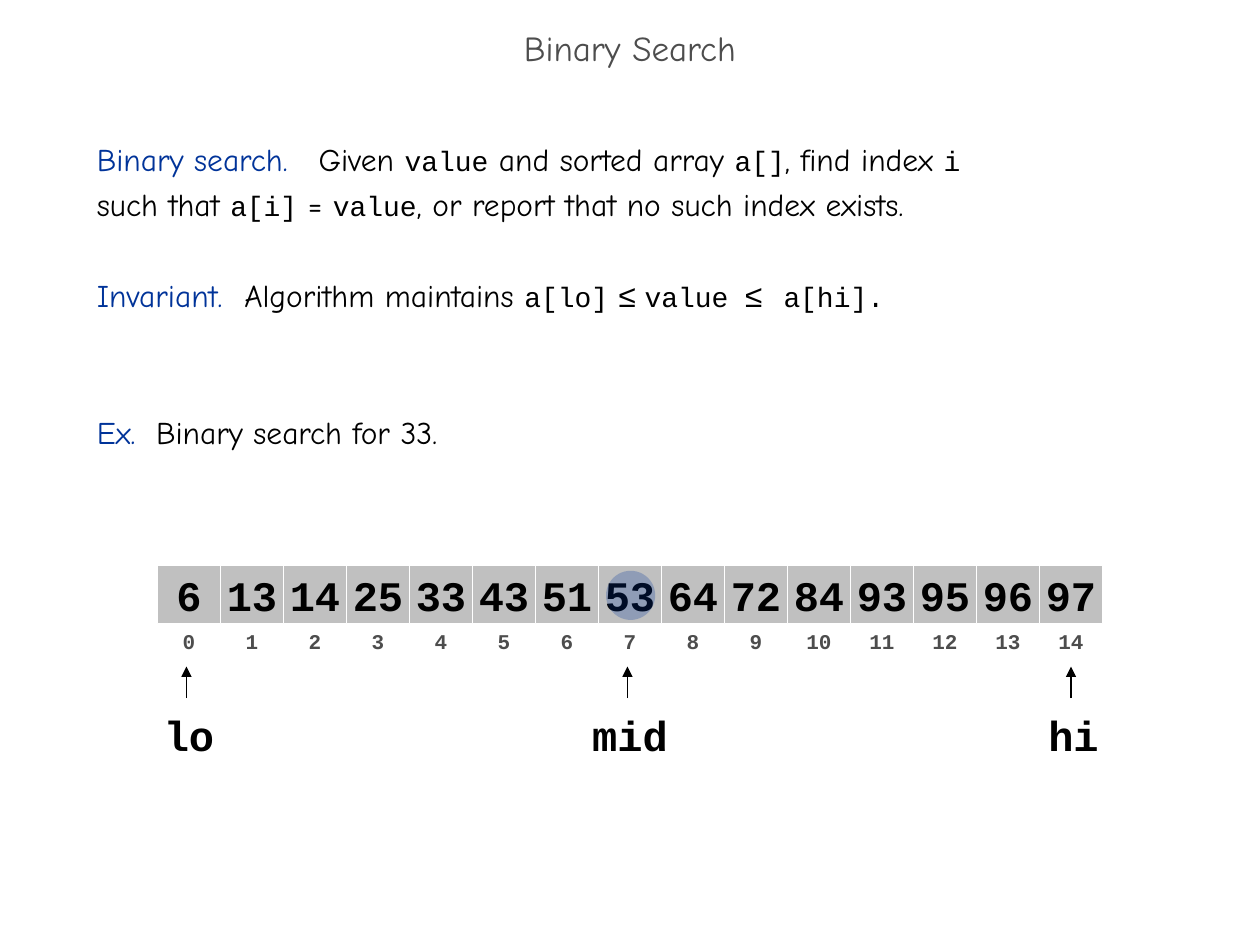
"""Build a slide that shows the first step of a binary search for 33."""
from typing import NamedTuple

from lxml import etree
from pptx import Presentation
from pptx.dml.color import RGBColor
from pptx.enum.shapes import MSO_CONNECTOR, MSO_SHAPE
from pptx.enum.text import MSO_ANCHOR, MSO_AUTO_SIZE, PP_ALIGN
from pptx.oxml.ns import qn
from pptx.util import Inches, Pt

RECT, OVAL = MSO_SHAPE.RECTANGLE, MSO_SHAPE.OVAL
STRAIGHT = MSO_CONNECTOR.STRAIGHT
TOP, MIDDLE = MSO_ANCHOR.TOP, MSO_ANCHOR.MIDDLE
LEFT, CENTER = PP_ALIGN.LEFT, PP_ALIGN.CENTER
GROW = MSO_AUTO_SIZE.SHAPE_TO_FIT_TEXT

BLACK = RGBColor(0x00, 0x00, 0x00)
WHITE = RGBColor(0xFF, 0xFF, 0xFF)
BLUE = RGBColor(0x00, 0x33, 0x99)
DARK = RGBColor(0x4D, 0x4D, 0x4D)
SILVER = RGBColor(0xC0, 0xC0, 0xC0)
HAND, CODE, SANS = "Comic Neue", "Courier New", "Arial"

CELL_LEFT, CELL_W = 1.25, 0.5
VALUES = (6, 13, 14, 25, 33, 43, 51, 53, 64, 72, 84, 93, 95, 96, 97)
MID = 7


class Run(NamedTuple):
    text: str
    font: str = HAND
    size: float = 18
    color: RGBColor = BLACK


class Statement(NamedTuple):
    runs: tuple
    tabs: tuple
    before: float = 0


class Row(NamedTuple):
    values: tuple
    top: float
    height: float
    size: float
    color: RGBColor
    fill: RGBColor | None = None


class Marker(NamedTuple):
    name: str
    arrow_x: float
    label_x: float
    label_w: float


def code(text: str) -> Run:
    return Run(text, CODE, 16)


def lead(text: str) -> Run:
    return Run(text + "\t", color=BLUE)


STATEMENTS = (
    Statement((
        lead("Binary search."), Run("Given "), code("value"),
        Run(" and sorted array "), code("a[]"), Run(", find index "),
        code("i"), Run("\n"), Run("such that "), code("a[i]"), Run(" = "),
        code("value"), Run(", or report that no such index exists."),
    ), (1.76,)),
    Statement((
        lead("Invariant."), Run("Algorithm maintains "), code("a[lo]"),
        Run(" "), Run("≤ ", SANS), code("value "), Run("≤\t", SANS),
        code("a[hi]."),
    ), (1.17, 5.45), 26),
    Statement((lead("Ex."), Run("Binary search for 33.")), (0.47,), 52),
)
ROWS = (
    Row(tuple(range(len(VALUES))), 4.98, 0.21, 12, DARK),
    Row(VALUES, 4.49, 0.46, 24, BLACK, SILVER),
)
MARKERS = (
    Marker("lo", 1.48, 1.5, 0.6),
    Marker("hi", 8.5, 8.52, 0.6),
    Marker("mid", 4.98, 5, 0.8),
)


def add_run(p, text: str, *, font: str = HAND, size: float = 18,
            color: RGBColor = BLACK, bold: bool = False) -> None:
    r = p.add_run()
    r.text = text
    r.font.name, r.font.size, r.font.bold = font, Pt(size), bold
    r.font.color.rgb = color


def add_box(s, left: float, top: float, width: float, height: float,
            wrap: bool = True, anchor=TOP):
    box = s.shapes.add_textbox(*map(Inches, (left, top, width, height)))
    tf = box.text_frame
    tf.word_wrap, tf.vertical_anchor = wrap, anchor
    return tf


def add_title(s) -> None:
    p = add_box(s, 0, 0.17, 10, 0.5, anchor=MIDDLE).paragraphs[0]
    p.alignment, p.line_spacing = CENTER, 0.7
    add_run(p, "Binary Search", size=20, color=DARK)


def add_statement(p, statement: Statement) -> None:
    p.alignment, p.line_spacing = LEFT, Pt(26)
    p.space_before = Pt(statement.before)
    tabs = etree.SubElement(p._p.get_or_add_pPr(), qn("a:tabLst"))
    for stop in statement.tabs:
        etree.SubElement(tabs, qn("a:tab"), pos=str(Inches(stop)), algn="l")
    for run in statement.runs:
        if run.text == "\n":
            p.add_line_break()
        else:
            add_run(p, run.text, font=run.font, size=run.size, color=run.color)


def add_shape(s, kind, left: float, top: float, width: float, height: float,
              fill: RGBColor | None):
    sp = s.shapes.add_shape(kind, *map(Inches, (left, top, width, height)))
    sp.shadow.inherit = False
    if fill is None:
        sp.fill.background()
    else:
        sp.fill.solid()
        sp.fill.fore_color.rgb = fill
    return sp


def add_row(s, row: Row) -> None:
    for i, value in enumerate(row.values):
        sp = add_shape(s, RECT, CELL_LEFT + i * CELL_W, row.top, CELL_W,
                       row.height, row.fill)
        sp.line.color.rgb, sp.line.width = WHITE, Pt(0.75)
        tf = sp.text_frame
        tf.word_wrap, tf.vertical_anchor = False, MIDDLE
        p = tf.paragraphs[0]
        p.alignment = CENTER
        add_run(p, str(value), font=CODE, size=row.size, color=row.color,
                bold=True)


def add_marker(s, marker: Marker) -> None:
    tf = add_box(s, marker.label_x - marker.label_w / 2, 5.58,
                 marker.label_w, 0.5, wrap=False)
    tf.auto_size = GROW
    p = tf.paragraphs[0]
    p.alignment, p.space_before = CENTER, Pt(15)
    add_run(p, marker.name, font=CODE, size=24, bold=True)

    x = Inches(marker.arrow_x)
    arrow = s.shapes.add_connector(STRAIGHT, x, Inches(5.54), x, Inches(5.29))
    arrow.line.color.rgb, arrow.line.width = BLACK, Pt(0.75)
    etree.SubElement(arrow.line._get_or_add_ln(), qn("a:tailEnd"),
                     type="triangle")
    etree.SubElement(arrow._element.spPr, qn("a:effectLst"))


def add_highlight(s, index: int) -> None:
    left = CELL_LEFT + index * CELL_W + 0.06
    sp = add_shape(s, OVAL, left, 4.53, 0.39, 0.39, BLUE)
    sp.line.fill.background()
    color = sp._element.spPr.find(qn("a:solidFill"))[0]
    etree.SubElement(color, qn("a:alpha"), val="25000")


def main() -> None:
    prs = Presentation()
    prs.slide_width, prs.slide_height = Inches(10), Inches(7.5)
    s = prs.slides.add_slide(prs.slide_layouts[6])
    add_title(s)
    tf = add_box(s, 0.67, 1, 8.58, 5.92)
    for i, statement in enumerate(STATEMENTS):
        add_statement(tf.add_paragraph() if i else tf.paragraphs[0], statement)
    for row in ROWS:
        add_row(s, row)
    for marker in MARKERS:
        add_marker(s, marker)
    add_highlight(s, MID)
    prs.save("out.pptx")


if __name__ == "__main__":
    main()
